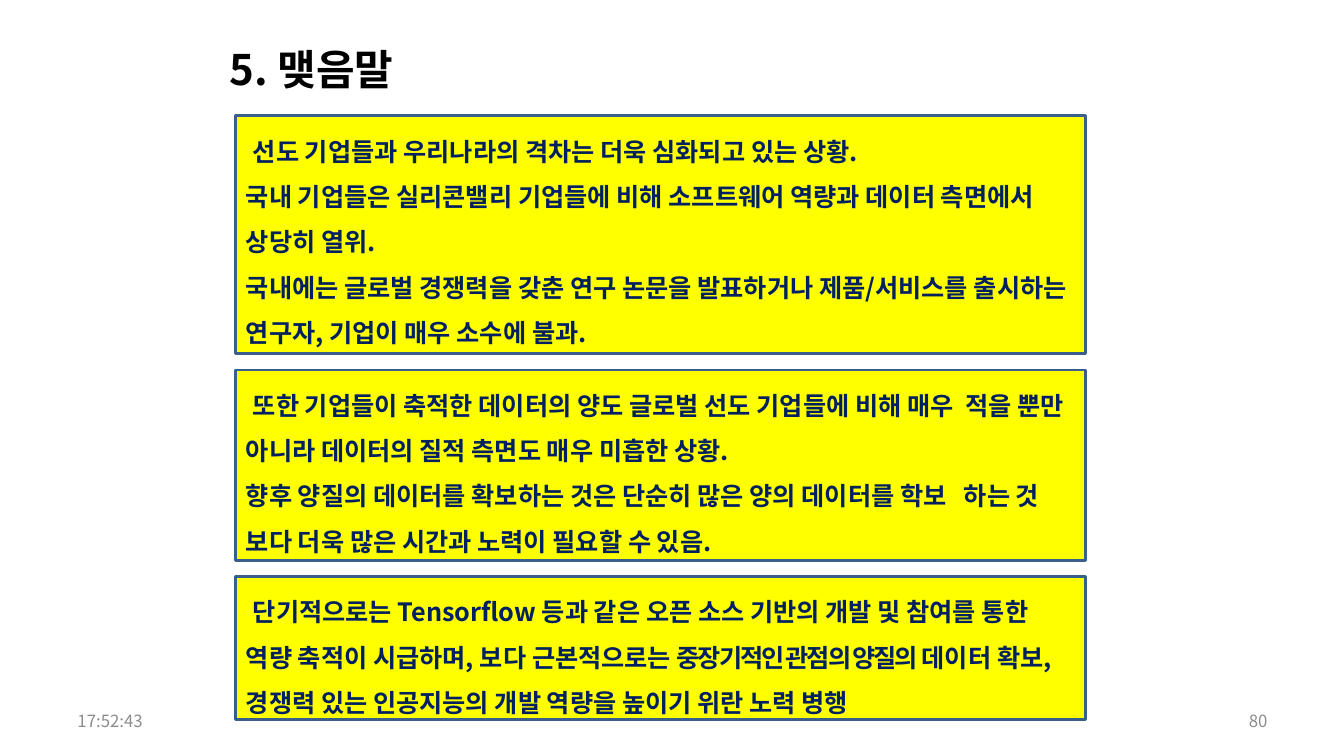
from lxml.etree import SubElement
from pptx import Presentation
from pptx.dml.color import RGBColor
from pptx.enum.shapes import MSO_SHAPE as Shape
from pptx.enum.text import MSO_ANCHOR as Anchor, PP_ALIGN as Align
from pptx.oxml.ns import qn
from pptx.util import Inches, Pt


def color(value):
    return RGBColor.from_string(value)


class SlideBuilder:
    """Draws the elements of one slide in a shared style."""

    font = "Noto Sans CJK KR"
    ink = "002060"
    fill = "FFFF00"
    edge = "3A5F8C"
    muted = "8C8C8C"

    def __init__(self, page):
        self.page = page

    def style(self, para, size, ink, bold=False):
        para.font.size = Pt(size)
        para.font.bold = bold
        para.font.color.rgb = color(ink)
        para.font.name = self.font
        properties = para._p.get_or_add_pPr().find(qn("a:defRPr"))
        SubElement(properties, qn("a:ea"), typeface=self.font)

    def label(self, text, place, size, ink, bold=False, align=Align.LEFT):
        box = self.page.shapes.add_textbox(*map(Inches, place))
        frame = box.text_frame
        frame.word_wrap = True
        frame.vertical_anchor = Anchor.MIDDLE
        para = frame.paragraphs[0]
        para.text = text
        para.alignment = align
        self.style(para, size, ink, bold)

    def panel(self, top, height, paragraphs):
        place = map(Inches, (2.34, top, 8.43, height))
        box = self.page.shapes.add_shape(Shape.RECTANGLE, *place)
        box.shadow.inherit = False
        box.fill.solid()
        box.fill.fore_color.rgb = color(self.fill)
        box.line.color.rgb = color(self.edge)
        box.line.width = Pt(2)
        frame = box.text_frame
        frame.word_wrap = True
        frame.vertical_anchor = Anchor.TOP
        for index, spans in enumerate(paragraphs):
            para = frame.paragraphs[0] if index == 0 else frame.add_paragraph()
            para.alignment = Align.LEFT
            para.line_spacing = 1.5
            if index == 0:
                para._p.get_or_add_pPr().set("indent", str(Inches(0.07)))
            for text, tracking in spans:
                span = para.add_run()
                span.text = text
                if tracking:
                    span._r.get_or_add_rPr().set("spc", str(tracking))
            self.style(para, 18, self.ink, bold=True)


PANELS = [
    (1.15, 2.36, [
        [("선도 기업들과 우리나라의 격차는 더욱 심화되고 있는 상황.", 0)],
        [("국내 기업들은 실리콘밸리 기업들에 비해 소프트웨어 역량과 데이터 측면에서 상당히 열위.", 0)],
        [("국내에는 글로벌 경쟁력을 갖춘 연구 논문을 발표하거나 제품/서비스를 "
          "출시하는 연구자, 기업이 매우 소수에 불과.", 0)],
    ]),
    (3.67, 1.89, [
        [("또한 기업들이 축적한 데이터의 양도 글로벌 선도 기업들에 비해 매우  적을 "
          "뿐만 아니라 데이터의 질적 측면도 매우 미흡한 상황.", 0)],
        [("향후 양질의 데이터를 확보하는 것은 단순히 많은 양의 데이터를 학보   하는 것 "
          "보다 더욱 많은 시간과 노력이 필요할 수 있음.", 0)],
    ]),
    (5.72, 1.42, [
        [("단기적으로는 Tensorflow 등과 같은 오픈 소스 기반의 개발 및 참여를 통한 "
          "역량 축적이 시급하며, 보다 근본적으로는 ", 0),
         ("중장기적인 관점의 양질의 ", -150),
         ("데이터 확보, 경쟁력 있는 인공지능의 개발 역량을 높이기 위란 노력 병행", 0)],
    ]),
]


def main():
    deck = Presentation()
    deck.slide_width = Inches(13.33)
    deck.slide_height = Inches(7.5)
    builder = SlideBuilder(deck.slides.add_slide(deck.slide_layouts[6]))
    builder.label("5. 맺음말", (2.18, 0.29, 9, 0.79), 30, "000000", bold=True)
    builder.label("17:52:43", (0.67, 6.95, 3.11, 0.4), 12, builder.muted)
    builder.label("80", (9.56, 6.95, 3.11, 0.4), 12, builder.muted, align=Align.RIGHT)
    for top, height, paragraphs in PANELS:
        builder.panel(top, height, paragraphs)
    deck.save("out.pptx")


if __name__ == "__main__":
    main()
